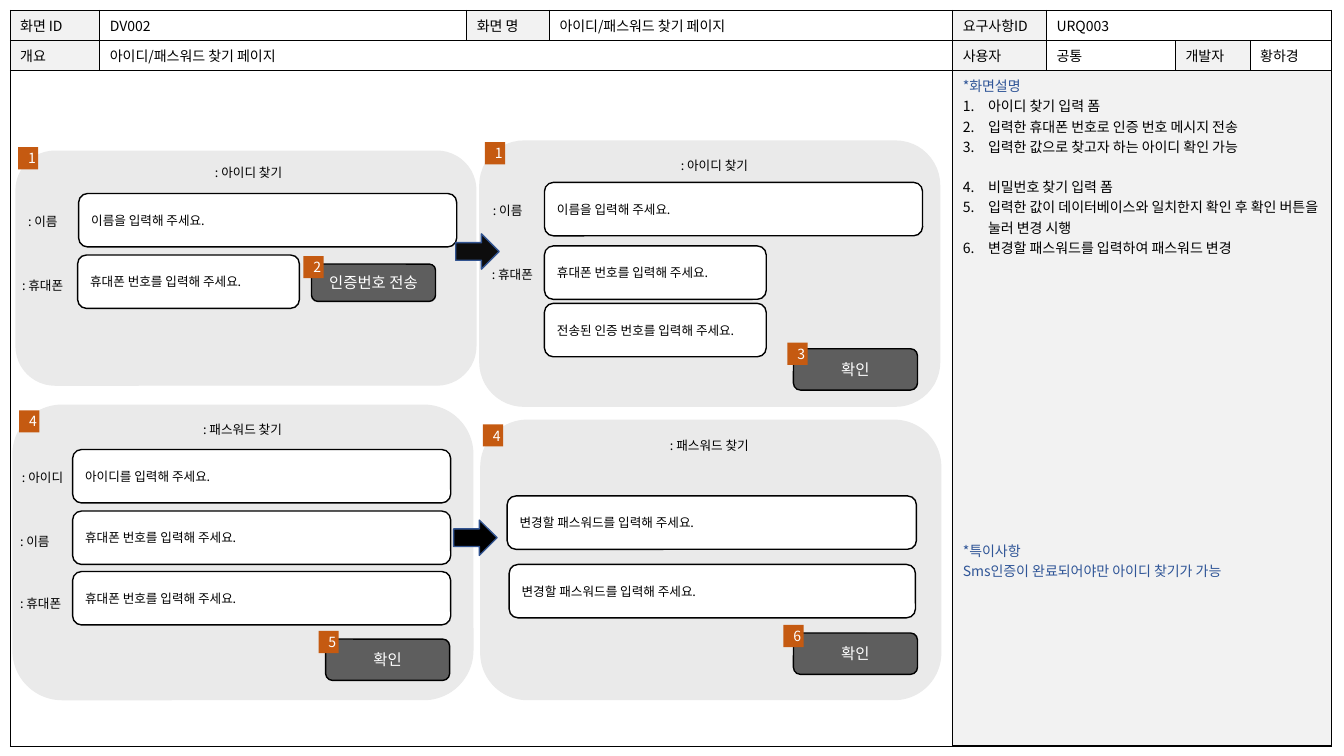
from dataclasses import dataclass

import lxml.etree
import pptx
import pptx.dml.color
import pptx.enum.shapes
import pptx.enum.text
import pptx.oxml.ns
import pptx.util

SHAPES = pptx.enum.shapes.MSO_SHAPE
ALIGN = pptx.enum.text.PP_ALIGN
GRID = 0.1


@dataclass(frozen=True)
class Theme:
    """Colours, type sizes and repeated part sizes in grid units."""
    font: str = "Noto Sans CJK KR"
    black: str = "000000"
    white: str = "FFFFFF"
    header: str = "F2F2F2"
    panel: str = "EAEAEA"
    button: str = "5E5E5E"
    badge: str = "C55A11"
    note: str = "2F5597"
    arrow_line: str = "325491"
    table_size: int = 10
    field_size: int = 9
    button_size: int = 11
    field_height: float = 5.3
    button_width: float = 12.3
    label_width: float = 44.9
    label_height: float = 2.5


THEME = Theme()


def units(count):
    """Turn grid units into a length."""
    return pptx.util.Inches(round(count * GRID, 3))


def color(value):
    """Turn a hex string into a colour."""
    return pptx.dml.color.RGBColor.from_string(value)


def add_xml(parent, tag, **attributes):
    """Append a drawing element to a parent element."""
    return lxml.etree.SubElement(parent, pptx.oxml.ns.qn(tag), **attributes)


def add_text(paragraph, text, size, text_color, alignment=ALIGN.LEFT):
    """Add one styled run to a paragraph."""
    paragraph.alignment = alignment
    run = paragraph.add_run()
    run.text = text
    run.font.size = pptx.util.Pt(size)
    run.font.color.rgb = color(text_color)
    run.font.name = THEME.font
    add_xml(run.font._element, "a:ea", typeface=THEME.font)


def add_block(slide, kind, box, fill, line=None):
    """Draw a filled preset shape in the given box."""
    shape = slide.shapes.add_shape(kind, *map(units, box))
    shape.shadow.inherit = False
    shape.fill.solid()
    shape.fill.fore_color.rgb = color(fill)
    if line:
        shape.line.color.rgb = color(line)
        shape.line.width = pptx.util.Pt(1)
    else:
        shape.line.fill.background()
    shape.text_frame.vertical_anchor = pptx.enum.text.MSO_ANCHOR.MIDDLE
    return shape


def add_label(slide, box, text, alignment=ALIGN.LEFT):
    """Write a caption in a text box."""
    frame = slide.shapes.add_textbox(*map(units, box)).text_frame
    frame.word_wrap = True
    frame.auto_size = pptx.enum.text.MSO_AUTO_SIZE.SHAPE_TO_FIT_TEXT
    add_text(frame.paragraphs[0], text, THEME.field_size, THEME.black, alignment)


def add_panel(slide, box, title, labels, fields, button, badges):
    """Draw a form panel, with every part offset from the panel's corner."""
    left, top = box[:2]
    add_block(slide, SHAPES.ROUNDED_RECTANGLE, box, THEME.panel, THEME.panel)
    text, x, y = title
    add_label(slide, (left + x, top + y, THEME.label_width, THEME.label_height),
              text, ALIGN.CENTER)
    for text, x, y, width in labels:
        add_label(slide, (left + x, top + y, width, THEME.label_height), text)
    for text, x, y, width in fields:
        field = add_block(slide, SHAPES.ROUNDED_RECTANGLE,
                          (left + x, top + y, width, THEME.field_height),
                          THEME.white, THEME.black)
        add_text(field.text_frame.paragraphs[0], text, THEME.field_size, THEME.black)
    text, x, y, height = button
    shape = add_block(slide, SHAPES.ROUNDED_RECTANGLE,
                      (left + x, top + y, THEME.button_width, height),
                      THEME.button, THEME.black)
    add_text(shape.text_frame.paragraphs[0], text, THEME.button_size,
             THEME.white, ALIGN.CENTER)
    for text, x, y in badges:
        badge = add_block(slide, SHAPES.RECTANGLE, (left + x, top + y, 2, 2.2), THEME.badge)
        add_text(badge.text_frame.paragraphs[0], text, THEME.table_size,
                 THEME.white, ALIGN.CENTER)


def style_cell(cell, fill, heavy_sides=""):
    """Give a cell thin black borders, heavier on named sides, and a fill."""
    properties = cell._tc.get_or_add_tcPr()
    for side in "LRTB":
        width = pptx.util.Pt(1 if side in heavy_sides else 0.5)
        border = add_xml(properties, f"a:ln{side}", w=str(width))
        add_xml(add_xml(border, "a:solidFill"), "a:srgbClr", val=THEME.black)
    cell.fill.solid()
    cell.fill.fore_color.rgb = color(fill)


def fill_description(cell):
    """Write the numbered description and the remark in the side cell."""
    steps = ["아이디 찾기 입력 폼", "입력한 휴대폰 번호로 인증 번호 메시지 전송",
             "입력한 값으로 찾고자 하는 아이디 확인 가능", "비밀번호 찾기 입력 폼",
             "입력한 값이 데이터베이스와 일치한지 확인 후 확인 버튼을 눌러 변경 시행",
             "변경할 패스워드를 입력하여 패스워드 변경"]
    frame = cell.text_frame
    add_text(frame.paragraphs[0], "*화면설명", THEME.table_size, THEME.note)
    for number, step in enumerate(steps, 1):
        paragraph = frame.add_paragraph()
        properties = paragraph._p.get_or_add_pPr()
        indent = pptx.util.Inches(0.25)
        properties.set("marL", str(indent))
        properties.set("indent", str(-indent))
        add_xml(properties, "a:buAutoNum", type="arabicPeriod")
        if number == 4:
            paragraph.space_before = pptx.util.Pt(14.5)
        add_text(paragraph, step, THEME.table_size, THEME.black)
    for text, gap in [("*특이사항", 202), ("Sms인증이 완료되어야만 아이디 찾기가 가능", 0)]:
        paragraph = frame.add_paragraph()
        paragraph.space_before = pptx.util.Pt(gap)
        add_text(paragraph, text, THEME.table_size, THEME.note)


def add_sheet(slide, box):
    """Draw the specification table that frames the whole slide."""
    columns = [8.9, 36.4, 8.2, 40, 9.3, 12.8, 7.4, 8.1]
    rows = [3, 3, box[3] - 6]
    page = "아이디/패스워드 찾기 페이지"
    texts = [["화면 ID", "DV002", "화면 명", page, "요구사항ID", "URQ003", "", ""],
             ["개요", page, "", "", "사용자", "공통", "개발자", "황하경"]]
    headers = {(0, 0), (0, 2), (0, 4), (1, 0), (1, 4), (1, 6)}
    table = slide.shapes.add_table(len(rows), len(columns), *map(units, box)).table
    table.first_row = table.horz_banding = False
    for column, width in zip(table.columns, columns):
        column.width = units(width)
    for row, height in zip(table.rows, rows):
        row.height = units(height)
    for row, first, last in [(0, 5, 7), (1, 1, 3), (2, 0, 3), (2, 4, 7)]:
        table.cell(row, first).merge(table.cell(row, last))
    for row, line in enumerate(texts):
        for column, text in enumerate(line):
            cell = table.cell(row, column)
            style_cell(cell, THEME.header if (row, column) in headers else THEME.white)
            if text:
                add_text(cell.text_frame.paragraphs[0], text, THEME.table_size, THEME.black)
    for column in range(len(columns)):
        side = column >= 4
        heavy = "B" if side else ""
        heavy += {3: "R", 4: "L"}.get(column, "")
        style_cell(table.cell(2, column), THEME.header if side else THEME.white, heavy)
    fill_description(table.cell(2, 4))


def build_slide(slide):
    """Place the table, the four form panels and the two arrows."""
    find_id, find_password = ": 아이디 찾기", ": 패스워드 찾기"
    name, phone = ": 이름", ": 휴대폰"
    ask_name, ask_phone = "이름을 입력해 주세요.", "휴대폰 번호를 입력해 주세요."
    ask_change = "변경할 패스워드를 입력해 주세요."
    wide, short, full = 37.5, 22, THEME.label_width
    add_sheet(slide, (1, 1, 131.1, 73))
    add_panel(slide, (1.6, 15, 45.6, 23.2), (find_id, 0.6, 0.9),
              [(name, 0.2, 5.7, full), (phone, -0.4, 12.1, 30.2)],
              [(ask_name, 6.2, 4.2, wide), (ask_phone, 6.1, 10.3, short)],
              ("인증번호 전송", 29.3, 11.2, 3.7), [("1", 0.2, -0.4), ("2", 28.5, 10.4)])
    add_panel(slide, (1.3, 40.2, 45.6, 29.2), (find_password, 0.3, 1.2),
              [(": 아이디", -0.1, 5.9, 9), (name, -0.3, 12.3, full), (phone, -0.3, 18.4, full)],
              [("아이디를 입력해 주세요.", 5.9, 4.4, wide), (ask_phone, 5.9, 10.5, wide),
               (ask_phone, 5.9, 16.5, wide)],
              ("확인", 31, 23.2, 4.1), [("4", 0.6, 0.5), ("5", 30.3, 22.4)])
    add_panel(slide, (47.6, 14, 45.6, 26.3), (find_id, 0.8, 1.2),
              [(name, 0.3, 5.6, full), (phone, 0.2, 12, 26.7)],
              [(ask_name, 6.4, 4.1, wide), (ask_phone, 6.4, 10.4, short),
               ("전송된 인증 번호를 입력해 주세요.", 6.4, 16.1, short)],
              ("확인", 31.1, 20.6, 4.1), [("1", 0.5, 0.1), ("3", 30.5, 20)])
    add_panel(slide, (47.7, 41.7, 45.6, 27.7), (find_password, 0.2, 1.2), [],
              [(ask_change, 2.6, 7.5, 40.6), (ask_change, 2.8, 14.3, 40.3)],
              ("확인", 31, 21.1, 4.1), [("4", 0.2, 0.4), ("6", 30, 20.3)])
    for left, top, fill in [(45.2, 23.2, "0D0D0D"), (45, 51.6, THEME.black)]:
        add_block(slide, SHAPES.RIGHT_ARROW, (left, top, 4.3, 3.5), fill, THEME.arrow_line)


def main():
    """Build and save the presentation."""
    presentation = pptx.Presentation()
    presentation.slide_width = pptx.util.Inches(13.33)
    presentation.slide_height = pptx.util.Inches(7.5)
    build_slide(presentation.slides.add_slide(presentation.slide_layouts[6]))
    presentation.save("out.pptx")


if __name__ == "__main__":
    main()
